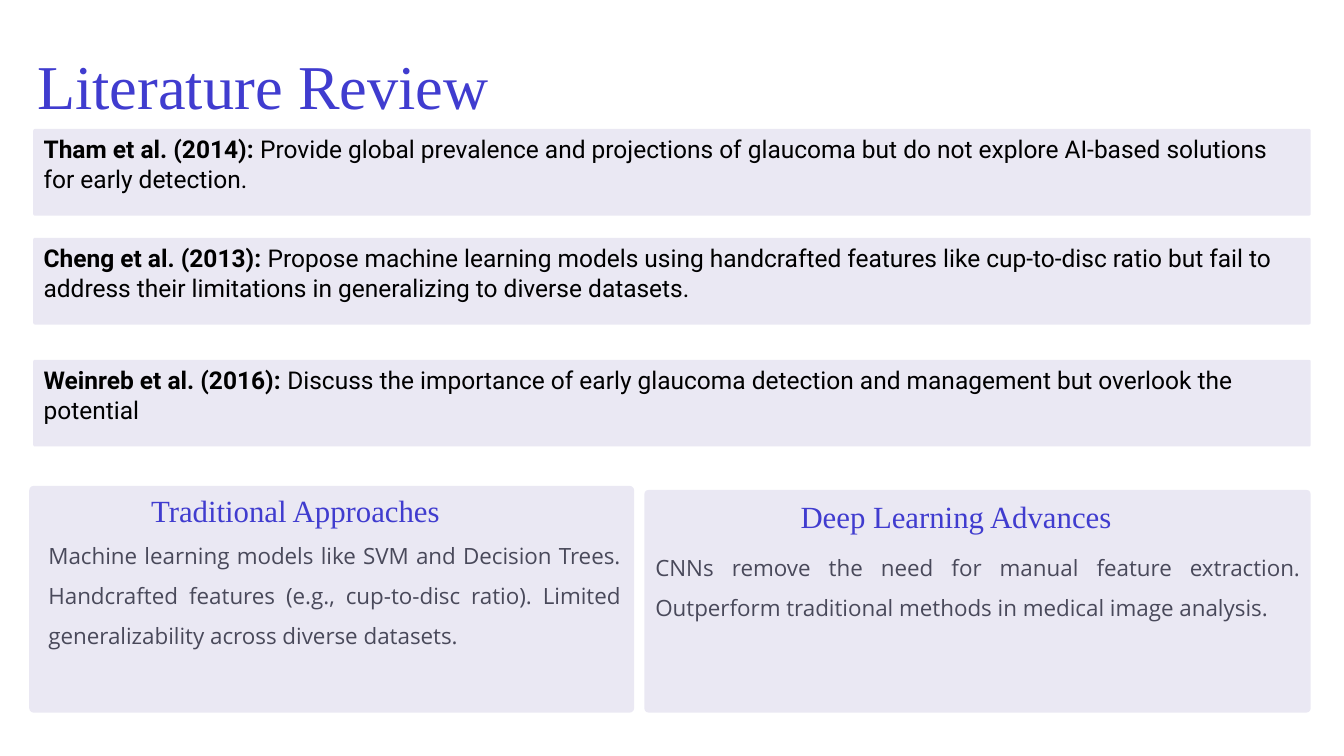
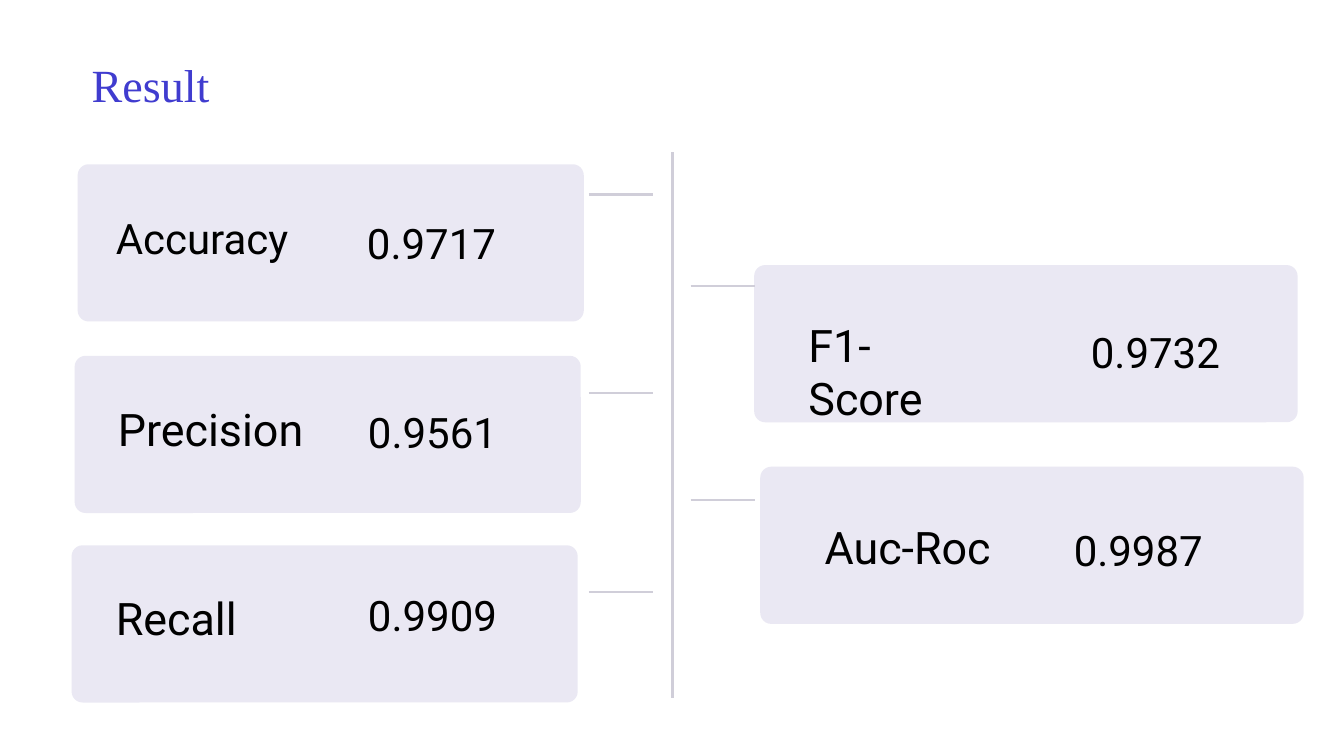
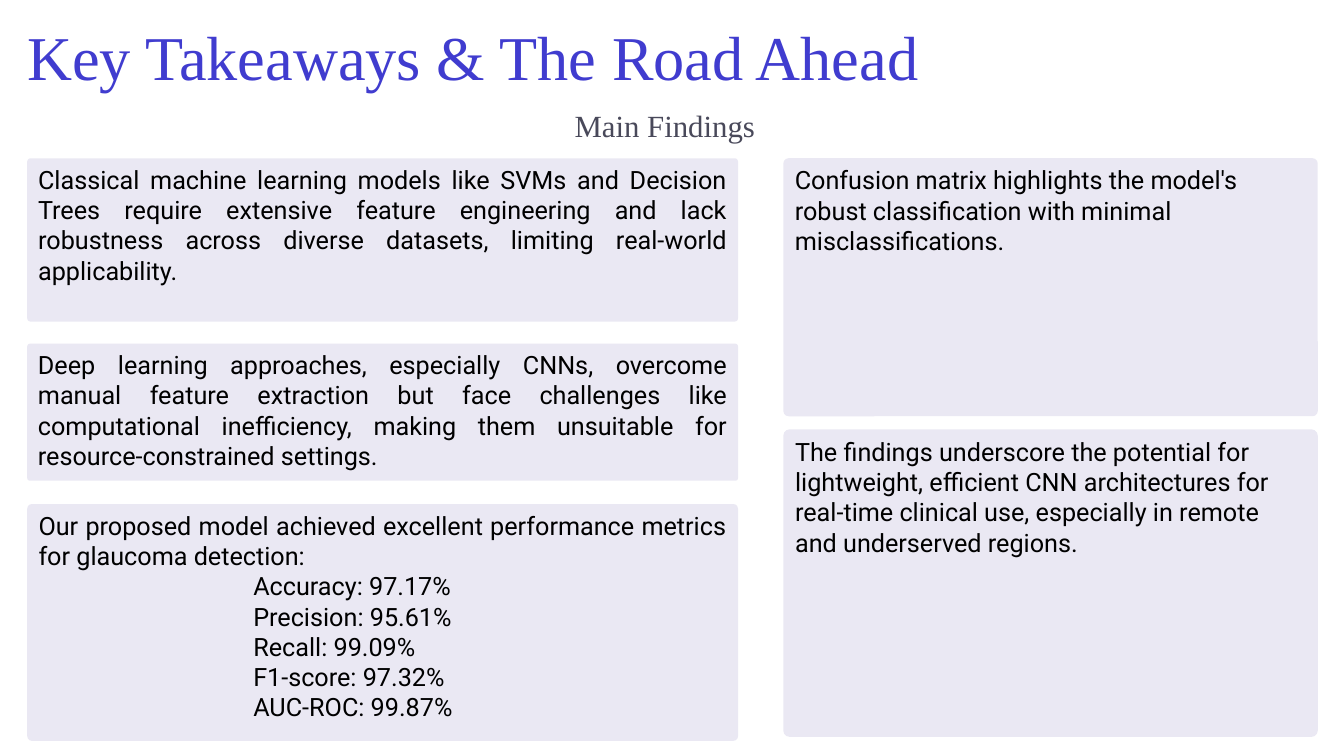
"""Build three slides on glaucoma detection: literature, results and takeaways."""
from dataclasses import dataclass
from typing import NamedTuple, Optional

from lxml import etree
from pptx import Presentation
from pptx import util as u
from pptx.dml.color import RGBColor
from pptx.enum import shapes, text
from pptx.oxml import ns

LEFT, CENTER, JUSTIFY = text.PP_ALIGN.LEFT, text.PP_ALIGN.CENTER, text.PP_ALIGN.JUSTIFY


@dataclass(frozen=True)
class Style:
    font: str
    size: float
    color: str
    line: Optional[float] = None


@dataclass(frozen=True)
class Theme:
    card: str = "EAE8F3"
    rule: str = "D0CED9"
    rule_width: float = 1.5
    title: Style = Style("Times New Roman", 44.5, "403CCF", 55.5)
    short_title: Style = Style("Times New Roman", 32.9, "403CCF", 40.8)
    heading: Style = Style("Times New Roman", 22, "403CCF", 27.5)
    subtitle: Style = Style("Times New Roman", 22, "49495A", 27.5)
    body: Style = Style("Open Sans", 16, "49495A", 28.5)
    review: Style = Style("Roboto", 17.5, "000000")
    finding: Style = Style("Roboto", 18, "000000")
    value: Style = Style("Roboto", 30, "000000")
    label: Style = Style("Roboto", 32, "000000")


THEME = Theme()


class Box(NamedTuple):
    x: float
    y: float
    w: float
    h: float


class Run(NamedTuple):
    text: str
    bold: bool = False


class Para(NamedTuple):
    runs: list[Run]
    align: text.PP_ALIGN = LEFT
    indent: float = 0


class Study(NamedTuple):
    y: float
    authors: str
    summary: str


class Panel(NamedTuple):
    card: Box
    heading_at: Box
    heading: str
    body_at: Box
    body: str


class Metric(NamedTuple):
    card: Box
    name: str
    name_at: Box
    name_style: Style
    value: str
    value_at: Box


class Finding(NamedTuple):
    card: Box
    paras: list[Para]


def para(words: str, align: text.PP_ALIGN = LEFT, indent: float = 0) -> Para:
    """Make a paragraph of one plain run."""
    return Para([Run(words)], align, indent)


def place(box: Box) -> tuple:
    """Turn a box into lengths."""
    return tuple(u.Inches(n) for n in box)


def write(tf, paras: list[Para], style: Style) -> None:
    """Fill a text frame run by run."""
    tf.vertical_anchor = text.MSO_ANCHOR.TOP
    for i, item in enumerate(paras):
        p = tf.paragraphs[0] if i == 0 else tf.add_paragraph()
        p.alignment = item.align
        if item.indent:
            p._p.get_or_add_pPr().set("marL", str(u.Inches(item.indent)))
        if style.line:
            p.line_spacing = u.Pt(style.line)
        for part in item.runs:
            r = p.add_run()
            r.text = part.text
            r.font.name = style.font
            r.font.size = u.Pt(style.size)
            r.font.bold = part.bold
            r.font.color.rgb = RGBColor.from_string(style.color)


def add_text(s, box: Box, item: Para, style: Style, wrap: bool = True, inset: bool = False) -> None:
    """Add a text box, with or without inner margins."""
    tf = s.shapes.add_textbox(*place(box)).text_frame
    tf.word_wrap = wrap
    if not inset:
        tf.margin_left = tf.margin_right = tf.margin_top = tf.margin_bottom = 0
    write(tf, [item], style)


def add_card(s, box: Box, radius: float, paras: Optional[list[Para]] = None,
             style: Style = THEME.finding) -> None:
    """Add a rounded card that may hold text."""
    sp = s.shapes.add_shape(shapes.MSO_SHAPE.ROUNDED_RECTANGLE, *place(box))
    sp.adjustments[0] = radius
    sp.shadow.inherit = False
    sp.fill.solid()
    sp.fill.fore_color.rgb = RGBColor.from_string(THEME.card)
    sp.line.fill.background()
    if paras:
        sp.text_frame.word_wrap = True
        write(sp.text_frame, paras, style)


def add_rule(s, x1: float, y1: float, x2: float, y2: float) -> None:
    """Add a thin straight line."""
    ends = (u.Inches(n) for n in (x1, y1, x2, y2))
    c = s.shapes.add_connector(shapes.MSO_CONNECTOR.STRAIGHT, *ends)
    c.line.color.rgb = RGBColor.from_string(THEME.rule)
    c.line.width = u.Pt(THEME.rule_width)
    etree.SubElement(c._element.spPr, ns.qn("a:effectLst"))


def build_review(s) -> None:
    """Draw the literature review slide."""
    panels = [
        Panel(Box(0.29, 4.82, 6, 2.25), Box(1.5, 4.86, 3.73, 0.39), "Traditional Approaches",
              Box(0.48, 5.25, 5.68, 1.63),
              "Machine learning models like SVM and Decision Trees. Handcrafted features "
              "(e.g., cup-to-disc ratio). Limited generalizability across diverse datasets."),
        Panel(Box(6.39, 4.86, 6.61, 2.21), Box(7.94, 4.92, 3.94, 0.5), "Deep Learning Advances",
              Box(6.5, 5.37, 6.4, 1.02),
              "CNNs remove the need for manual feature extraction. "
              "Outperform traditional methods in medical image analysis."),
    ]
    studies = [
        Study(1.28, "Tham et al. (2014):",
              " Provide global prevalence and projections of glaucoma but do not explore "
              "AI-based solutions for early detection."),
        Study(2.36, "Cheng et al. (2013):",
              " Propose machine learning models using handcrafted features like cup-to-disc ratio "
              "but fail to address their limitations in generalizing to diverse datasets."),
        Study(3.57, "Weinreb et al. (2016):",
              " Discuss the importance of early glaucoma detection and management "
              "but overlook the potential"),
    ]
    add_text(s, Box(0.37, 0.44, 6.95, 0.78), para("Literature Review"), THEME.title)
    for study in studies:
        runs = [Run(study.authors, True), Run(study.summary)]
        add_card(s, Box(0.33, study.y, 12.67, 0.86), 0.02, [Para(runs)], THEME.review)
    for panel in panels:
        add_card(s, panel.card, 0.02)
        add_text(s, panel.heading_at, para(panel.heading), THEME.heading, wrap=False)
        add_text(s, panel.body_at, para(panel.body, JUSTIFY), THEME.body)


def build_result(s) -> None:
    """Draw the metric cards around a central line."""
    left_w, right_w, card_h = 5.02, 5.39, 1.56
    text_w, wide_w, text_h = 1.94, 2.08, 0.61
    metrics = [
        Metric(Box(0.77, 1.63, left_w, card_h), "Accuracy", Box(1.05, 2.06, text_w, text_h),
               THEME.value, "0.9717", Box(3.31, 2.11, text_w, text_h)),
        Metric(Box(0.74, 3.53, left_w, card_h), "Precision", Box(1.07, 3.94, wide_w, 1.14),
               THEME.label, "0.9561", Box(3.32, 3.98, text_w, text_h)),
        Metric(Box(0.71, 5.41, left_w, card_h), "Recall", Box(1.05, 5.81, wide_w, 1.14),
               THEME.label, "0.9909", Box(3.32, 5.8, text_w, text_h)),
        Metric(Box(7.48, 2.63, right_w, card_h), "F1-Score", Box(7.92, 3.1, text_w, 0.64),
               THEME.label, "0.9732", Box(10.49, 3.19, text_w, text_h)),
        Metric(Box(7.54, 4.63, right_w, card_h), "Auc-Roc", Box(8.08, 5.11, text_w, 0.64),
               THEME.label, "0.9987", Box(10.32, 5.15, text_w, text_h)),
    ]
    add_text(s, Box(0.91, 0.54, 1.98, 0.57), para("Result"), THEME.short_title, wrap=False)
    for m in metrics:
        add_card(s, m.card, 0.07)
        add_text(s, m.name_at, para(m.name), m.name_style, inset=True)
        add_text(s, m.value_at, para(m.value, CENTER), THEME.value, inset=True)
    add_rule(s, 6.67, 1.51, 6.67, 6.92)
    for x, ys in ((5.84, (1.93, 3.9, 5.87)), (6.85, (2.84, 4.96))):
        for y in ys:
            add_rule(s, x, y, x + 0.64, y)


def build_takeaways(s) -> None:
    """Draw the findings in two columns."""
    left_x, left_w, right_x, right_w = 0.27, 7.05, 7.77, 5.3
    scores = ["Accuracy: 97.17%", "Precision: 95.61%", "Recall: 99.09%",
              "F1-score: 97.32%", "AUC-ROC: 99.87%"]
    findings = [
        Finding(Box(left_x, 1.57, left_w, 1.62), [para(
            "Classical machine learning models like SVMs and Decision Trees require extensive "
            "feature engineering and lack robustness across diverse datasets, limiting "
            "real-world applicability.", JUSTIFY)]),
        Finding(Box(left_x, 3.41, left_w, 1.36), [para(
            "Deep learning approaches, especially CNNs, overcome manual feature extraction but "
            "face challenges like computational inefficiency, making them unsuitable for "
            "resource-constrained settings.", JUSTIFY)]),
        Finding(Box(left_x, 5, left_w, 2.35), [
            para("Our proposed model achieved excellent performance metrics for glaucoma "
                 "detection:", JUSTIFY),
            *(para(score, JUSTIFY, 2.13) for score in scores)]),
        Finding(Box(right_x, 1.57, right_w, 2.56), [para(
            "Confusion matrix highlights the model's robust classification with minimal "
            "misclassifications.")]),
        Finding(Box(right_x, 4.26, right_w, 3.05), [para(
            "The findings underscore the potential for lightweight, efficient CNN architectures "
            "for real-time clinical use, especially in remote and underserved regions.")]),
    ]
    add_text(s, Box(0.27, 0.15, 10.86, 0.78), para("Key Takeaways & The Road Ahead"),
             THEME.title, wrap=False)
    add_text(s, Box(5.7, 1.04, 3.1, 0.39), para("Main Findings"), THEME.subtitle, wrap=False)
    for finding in findings:
        add_card(s, finding.card, 0.02, finding.paras)


def main() -> None:
    """Build and save the presentation."""
    prs = Presentation()
    prs.slide_width, prs.slide_height = u.Inches(13.33), u.Inches(7.5)
    for build in (build_review, build_result, build_takeaways):
        build(prs.slides.add_slide(prs.slide_layouts[6]))
    prs.save("out.pptx")


if __name__ == "__main__":
    main()
